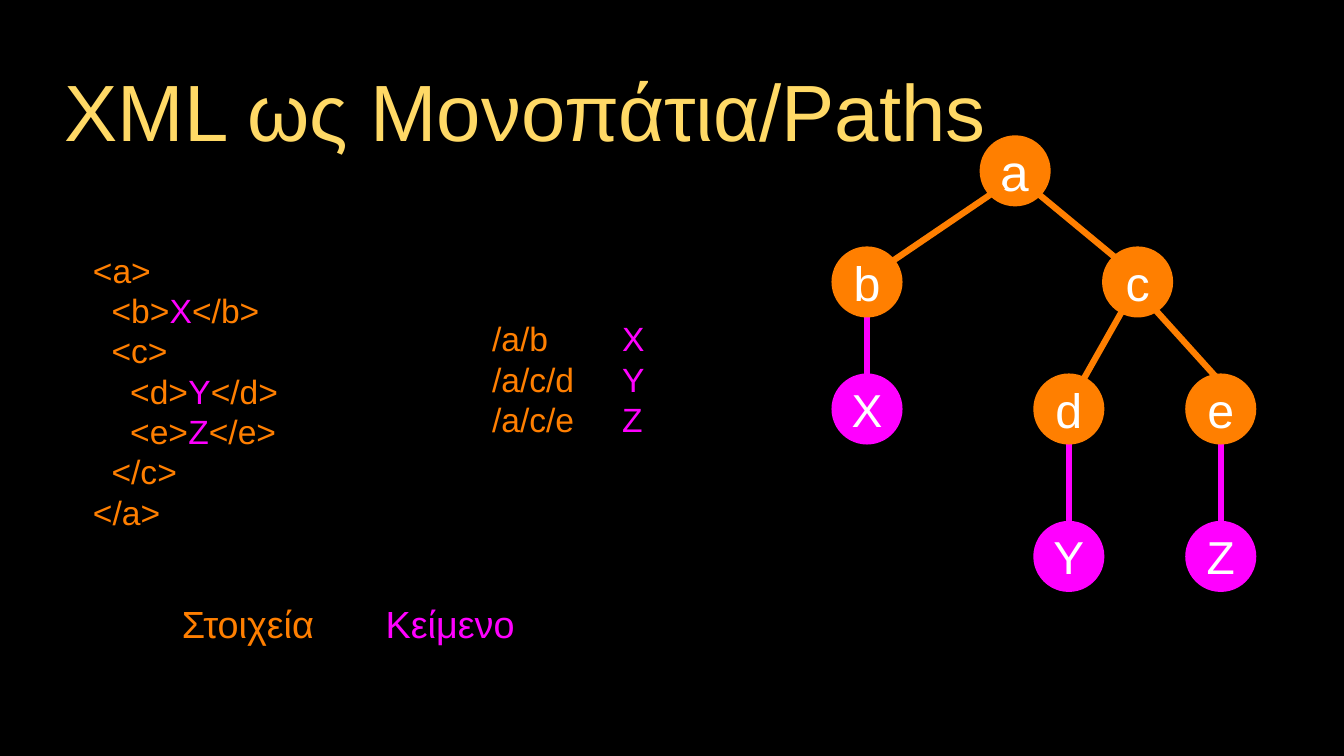
from lxml.etree import SubElement
from pptx import Presentation
from pptx.dml.color import RGBColor
from pptx.enum.shapes import MSO_CONNECTOR, MSO_SHAPE
from pptx.enum.text import MSO_ANCHOR, PP_ALIGN
from pptx.oxml.ns import qn
from pptx.util import Inches, Pt

COLORS = {
    "background": "000000",
    "title": "FFD966",
    "element": "FF7F00",
    "text": "FF00FF",
    "label": "FFFFFF",
}
NODE_SIZE = 0.94
CODE_SPACING = Pt(38.4)


def rgb(name):
    return RGBColor.from_string(COLORS[name])


class SlideBuilder:
    def __init__(self, slide, font="Arial"):
        self.slide = slide
        self.font = font

    def background(self):
        fill = self.slide.background.fill
        fill.solid()
        fill.fore_color.rgb = rgb("background")

    def fill_frame(self, frame, lines, size, align, spacing=None, tab=None):
        """Fill a frame with lines, each a list of (text, color name) runs."""
        frame.margin_left = frame.margin_right = 0
        frame.margin_top = frame.margin_bottom = 0
        frame.vertical_anchor = MSO_ANCHOR.MIDDLE
        for index, runs in enumerate(lines):
            paragraph = frame.add_paragraph() if index else frame.paragraphs[0]
            paragraph.alignment = align
            if spacing:
                paragraph.line_spacing = spacing
            if tab:
                stops = SubElement(paragraph._p.get_or_add_pPr(), qn("a:tabLst"))
                SubElement(stops, qn("a:tab"), pos=str(Inches(tab)), algn="l")
            for text, color in runs:
                run = paragraph.add_run()
                run.text = text
                run.font.name = self.font
                run.font.size = Pt(size)
                run.font.color.rgb = rgb(color)

    def text(self, box, lines, size, align=PP_ALIGN.LEFT, **layout):
        frame = self.slide.shapes.add_textbox(*map(Inches, box)).text_frame
        frame.word_wrap = True
        self.fill_frame(frame, lines, size, align, **layout)

    def node(self, label, left, top, color, size):
        circle = self.slide.shapes.add_shape(
            MSO_SHAPE.OVAL, Inches(left), Inches(top),
            Inches(NODE_SIZE), Inches(NODE_SIZE))
        circle.shadow.inherit = False
        circle.fill.solid()
        circle.fill.fore_color.rgb = rgb(color)
        circle.line.fill.background()
        circle.text_frame.word_wrap = False
        self.fill_frame(circle.text_frame, [[(label, "label")]], size,
                        PP_ALIGN.CENTER)

    def edge(self, start, end, color):
        line = self.slide.shapes.add_connector(
            MSO_CONNECTOR.STRAIGHT, *map(Inches, (*start, *end)))
        line.line.color.rgb = rgb(color)
        line.line.width = Pt(6)
        SubElement(line._element.spPr, qn("a:effectLst"))


def tag_line(indent, tag, value):
    return [(f"{indent}<{tag}>", "element"), (value, "text"),
            (f"</{tag}>", "element")]


def draw_tree(builder):
    b_left, d_left, e_left = 11, 13.67, 15.68
    for left, top in [(b_left, 4.03), (d_left, 5.8), (e_left, 5.8)]:
        center = left + NODE_SIZE / 2
        builder.edge((center, top), (center, top + 1.13), "text")

    for label, left, top, size in [
        ("a", 12.96, 1.79, 49),
        ("b", b_left, 3.26, 46),
        ("c", 14.58, 3.26, 46),
        ("d", d_left, 4.94, 46),
        ("e", e_left, 4.94, 46),
    ]:
        builder.node(label, left, top, "element", size)
    for label, left, top in [("X", b_left, 4.94), ("Y", d_left, 6.89),
                             ("Z", e_left, 6.89)]:
        builder.node(label, left, top, "text", 44)

    for parent, child in [
        ((13.27, 2.46), (11.68, 3.54)),
        ((13.67, 2.51), (14.83, 3.47)),
        ((14.87, 4.07), (14.27, 5.13)),
        ((15.24, 4.05), (16.08, 4.98)),
    ]:
        builder.edge(parent, child, "element")


def main():
    presentation = Presentation()
    presentation.slide_width = Inches(17.78)
    presentation.slide_height = Inches(10)
    slide = presentation.slides.add_slide(presentation.slide_layouts[6])
    builder = SlideBuilder(slide)
    builder.background()

    builder.text((0.63, 0.48, 12.64, 1.94),
                 [[("XML ως Μονοπάτια/Paths", "title")]], 76, PP_ALIGN.CENTER)

    document = [
        [("<a>", "element")],
        tag_line("  ", "b", "X"),
        [("  <c>", "element")],
        tag_line("    ", "d", "Y"),
        tag_line("    ", "e", "Z"),
        [("  </c>", "element")],
        [("</a>", "element")],
    ]
    builder.text((1.23, 3.05, 2.7, 4.24), document, 32, spacing=CODE_SPACING)

    draw_tree(builder)

    paths = [("/a/b", "X"), ("/a/c/d", "Y"), ("/a/c/e", "Z")]
    builder.text((6.51, 4.09, 2.95, 1.84),
                 [[(f"{path}\t", "element"), (value, "text")]
                  for path, value in paths],
                 32, spacing=CODE_SPACING, tab=1.72)

    for legend, left, width, color in [("Στοιχεία", 2.12, 2.32, "element"),
                                       ("Κείμενο", 4.98, 1.95, "text")]:
        builder.text((left, 7.9, width, 0.68), [[(legend, color)]],
                     36, PP_ALIGN.CENTER)

    presentation.save("out.pptx")


if __name__ == "__main__":
    main()
